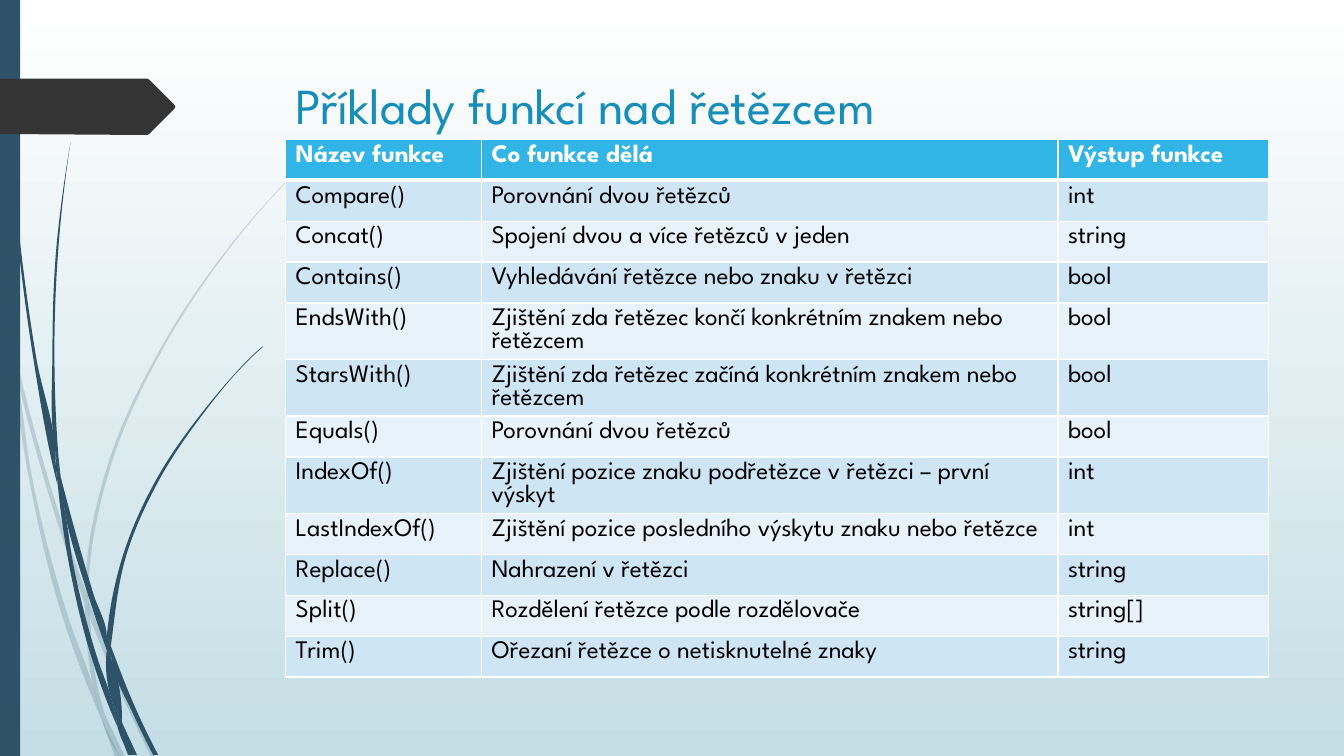
from dataclasses import dataclass
from math import dist

from lxml import etree
from pptx import Presentation
from pptx.dml.color import RGBColor
from pptx.enum.shapes import MSO_SHAPE
from pptx.enum.text import MSO_ANCHOR, MSO_AUTO_SIZE, PP_ALIGN
from pptx.oxml.ns import qn
from pptx.util import Pt

RECTANGLE = MSO_SHAPE.RECTANGLE
TOP = MSO_ANCHOR.TOP
LEFT = PP_ALIGN.LEFT
NO_FIT = MSO_AUTO_SIZE.NONE

FONT = "League Spartan"
NAVY, CHARCOAL, TITLE_BLUE = "2E5369", "353535", "178DBB"
HEADER_BLUE, BANDS = "31B4E6", ("CEE5F5", "E8F2FA")
WHITE, BLACK, MIST = "FFFFFF", "000000", "C5DEE5"
GRID = 0.72
TABLE_LEFT, TABLE_TOP, ROW_HEIGHT = 204, 99.6, 29.2
COLUMN_WIDTHS = (139.9, 411.8, 150.3)

Point = tuple[float, float]
Edge = tuple[Point, ...]


@dataclass(frozen=True)
class Strand:
    down: Edge
    back: Edge


@dataclass(frozen=True)
class Blades:
    opacity: int
    strands: tuple[Strand, ...]


@dataclass(frozen=True)
class Function:
    name: str
    purpose: str
    output: str


PALE_BLADES = Blades(20, (
    Strand(((11, 350), (9, 322), (0, 282)), ((0, 299), (10, 344), (11, 350))),
    Strand(((17, 376), (58, 522), (84, 599)), ((85, 586), (62, 520), (14, 345))),
    Strand(((88, 610), (123, 694), (150, 751)), ((155, 751), (127, 692), (92, 607), (88, 596))),
    Strand(((105, 711), (119, 751)), ((124, 751), (105, 711))),
    Strand(((11, 350), (28, 470), (65, 621), (92, 693), (101, 714)),
           ((99, 707), (93, 683), (70, 619), (31, 469), (17, 376), (11, 350))),
    Strand(((84, 599), (87, 646), (93, 683), (96, 692), (105, 711)),
           ((103, 706), (91, 646), (88, 610), (84, 599))),
    Strand(((312, 153), (289, 175), (268, 197), (228, 244), (158, 348), (107, 461), (85, 584), (85, 586)),
           ((88, 596), (88, 584), (110, 462), (160, 349), (229, 245), (268, 198), (290, 175), (312, 154))),
    Strand(((101, 714), (114, 751)), ((119, 751), (101, 714))),
    Strand(((85, 586), (84, 599)), ((88, 610), (88, 596), (85, 586))),
    Strand(((93, 683), (99, 707), (101, 714), (119, 751)), ((105, 711), (96, 692), (93, 683))),
))

DARK_BLADES = Blades(100, (
    Strand(((3, 0), (4, 48), (7, 110), (17, 233), (33, 355), (56, 477), (57, 481)),
           ((55, 457), (55, 453), (36, 355), (19, 232), (8, 109), (5, 48), (4, 0))),
    Strand(((60, 472), (64, 505), (88, 592), (106, 645)), ((106, 633), (106, 631), (93, 590), (60, 472))),
    Strand(((110, 641), (111, 656), (132, 708), (152, 749)), ((157, 749), (136, 706), (113, 649), (110, 641))),
    Strand(((57, 477), (68, 557), (93, 659), (111, 708), (117, 722)),
           ((116, 717), (110, 691), (98, 657), (72, 556), (64, 505), (57, 477))),
    Strand(((70, 141), (62, 193), (56, 245), (52, 349), (55, 449), (60, 472)),
           ((58, 453), (54, 349), (58, 245), (63, 193), (70, 141))),
    Strand(((122, 719), (133, 749)), ((136, 749), (122, 719))),
    Strand(((55, 449), (55, 453), (57, 477), (64, 505)), ((60, 472), (55, 449))),
    Strand(((260, 344), (245, 358), (231, 373), (204, 405), (156, 474), (122, 551), (106, 631)),
           ((110, 641), (111, 633), (125, 552), (158, 476), (205, 406), (231, 374), (245, 359), (261, 344))),
    Strand(((117, 722), (127, 749)), ((131, 749), (117, 722))),
    Strand(((106, 645), (110, 691), (116, 706), (122, 719)), ((121, 716), (111, 656), (109, 651), (106, 645))),
    Strand(((106, 631), (106, 645), (109, 651), (111, 656)), ((110, 641), (106, 631))),
    Strand(((110, 691), (116, 717), (117, 722), (130, 749)), ((133, 749), (122, 719), (116, 706), (110, 691))),
))

ARROW = ((0, 78), (146, 78), (148, 79), (173, 104), (174, 106), (173, 108), (148, 133), (146, 134), (0, 133))

HEADER = Function("Název funkce", "Co funkce dělá", "Výstup funkce")
FUNCTIONS = (
    Function("Compare()", "Porovnání dvou řetězců", "int"),
    Function("Concat()", "Spojení dvou a více řetězců v jeden", "string"),
    Function("Contains()", "Vyhledávání řetězce nebo znaku v řetězci", "bool"),
    Function("EndsWith()", "Zjištění zda řetězec končí konkrétním znakem nebo řetězcem", "bool"),
    Function("StarsWith()", "Zjištění zda řetězec začíná konkrétním znakem nebo řetězcem", "bool"),
    Function("Equals()", "Porovnání dvou řetězců", "bool"),
    Function("IndexOf()", "Zjištění pozice znaku podřetězce v řetězci – první výskyt", "int"),
    Function("LastIndexOf()", "Zjištění pozice posledního výskytu znaku nebo řetězce", "int"),
    Function("Replace()", "Nahrazení v řetězci", "string"),
    Function("Split()", "Rozdělení řetězce podle rozdělovače", "string[]"),
    Function("Trim()", "Ořezaní řetězce o netisknutelné znaky", "string"),
)


def color(code: str) -> RGBColor:
    return RGBColor.from_string(code)


def edge_handles(edge: Edge) -> list[tuple[Point, Point]]:
    spans = [dist(start, end) for start, end in zip(edge, edge[1:])]
    chords = [tuple((end[axis] - start[axis]) / span for axis in (0, 1))
              for start, end, span in zip(edge, edge[1:], spans)]
    slopes = [tuple((before[axis] * ahead + after[axis] * behind) / (behind + ahead) for axis in (0, 1))
              for before, after, behind, ahead in zip(chords, chords[1:], spans, spans[1:])]
    inner = slopes or chords
    first, last = (tuple(2 * chord[axis] - slope[axis] for axis in (0, 1))
                   for chord, slope in ((chords[0], inner[0]), (chords[-1], inner[-1])))
    slopes = [first, *slopes, last]
    return [(tuple(edge[i][axis] + slopes[i][axis] * span / 3 for axis in (0, 1)),
             tuple(edge[i + 1][axis] - slopes[i + 1][axis] * span / 3 for axis in (0, 1)))
            for i, span in enumerate(spans)]


def paint(shape, code: str, opacity: int = 100) -> None:
    shape.shadow.inherit = False
    shape.line.fill.background()
    shape.fill.solid()
    shape.fill.fore_color.rgb = color(code)
    if opacity < 100:
        tone = shape._element.spPr.find(qn("a:solidFill"))[0]
        etree.SubElement(tone, qn("a:alpha"), val=str(opacity * 1000))


def add_outline(page, points: Edge, code: str, opacity: int = 100):
    corners = [(Pt(x * GRID), Pt(y * GRID)) for x, y in points]
    builder = page.shapes.build_freeform(*corners[0])
    builder.add_line_segments(corners[1:], close=True)
    shape = builder.convert_to_shape()
    paint(shape, code, opacity)
    return shape


def add_strand(page, strand: Strand, opacity: int) -> None:
    shape = add_outline(page, strand.down + strand.back, NAVY, opacity)
    handles = [*edge_handles(strand.down), None, *edge_handles(strand.back)]
    for line, pair in zip(list(shape._element.iter(qn("a:lnTo"))), handles):
        if pair is None:
            continue
        line.tag = qn("a:cubicBezTo")
        for place, (x, y) in enumerate(pair):
            handle = etree.Element(qn("a:pt"), x=str(Pt(x * GRID) - shape.left), y=str(Pt(y * GRID) - shape.top))
            line.insert(place, handle)


def add_span(para, text: str, size: float, code: str, bold: bool = False) -> None:
    para.alignment = LEFT
    span = para.add_run()
    span.text = text
    span.font.name, span.font.size, span.font.bold = FONT, Pt(size), bold
    span.font.color.rgb = color(code)


def add_border(cell, side: str, width: float) -> None:
    line = etree.SubElement(cell._tc.get_or_add_tcPr(), qn(f"a:ln{side}"), w=str(Pt(width)))
    fill = etree.SubElement(line, qn("a:solidFill"))
    etree.SubElement(fill, qn("a:srgbClr"), val=WHITE)


def add_function_table(page) -> None:
    rows = (HEADER, *FUNCTIONS)
    table = page.shapes.add_table(
        len(rows), len(COLUMN_WIDTHS), Pt(TABLE_LEFT), Pt(TABLE_TOP),
        Pt(sum(COLUMN_WIDTHS)), Pt(ROW_HEIGHT * len(rows))).table
    table.horz_banding = False
    for column, width in zip(table.columns, COLUMN_WIDTHS):
        column.width = Pt(width)
    for index, function in enumerate(rows):
        table.rows[index].height = Pt(ROW_HEIGHT)
        heading = index == 0
        widths = {"L": 1, "R": 1, "T": 3 if index == 1 else 1, "B": 3 if heading else 1}
        for place, text in enumerate((function.name, function.purpose, function.output)):
            cell = table.cell(index, place)
            for side, width in widths.items():
                add_border(cell, side, width)
            cell.fill.solid()
            cell.fill.fore_color.rgb = color(HEADER_BLUE if heading else BANDS[(index - 1) % 2])
            add_span(cell.text_frame.paragraphs[0], text, 18, WHITE if heading else BLACK, heading)


def main() -> None:
    deck = Presentation()
    deck.slide_width, deck.slide_height = Pt(960), Pt(540)
    page = deck.slides.add_slide(deck.slide_layouts[5])

    backdrop = page.background.fill
    backdrop.gradient()
    backdrop.gradient_angle = 270
    for stop, code, position in zip(backdrop.gradient_stops, (WHITE, MIST), (0, 1)):
        stop.color.rgb, stop.position = color(code), position

    for blades in (PALE_BLADES, DARK_BLADES):
        for strand in blades.strands:
            add_strand(page, strand, blades.opacity)
    paint(page.shapes.add_shape(RECTANGLE, Pt(0), Pt(0), Pt(14.4), Pt(540)), NAVY)
    add_outline(page, ARROW, CHARCOAL)

    title = page.shapes.title
    title.left, title.top, title.width, title.height = Pt(204), Pt(49.1), Pt(702), Pt(100.8)
    box = title.text_frame
    box.word_wrap, box.auto_size, box.vertical_anchor = True, NO_FIT, TOP
    add_span(box.paragraphs[0], "Příklady funkcí nad řetězcem", 36, TITLE_BLUE)

    add_function_table(page)
    deck.save("out.pptx")


if __name__ == "__main__":
    main()
